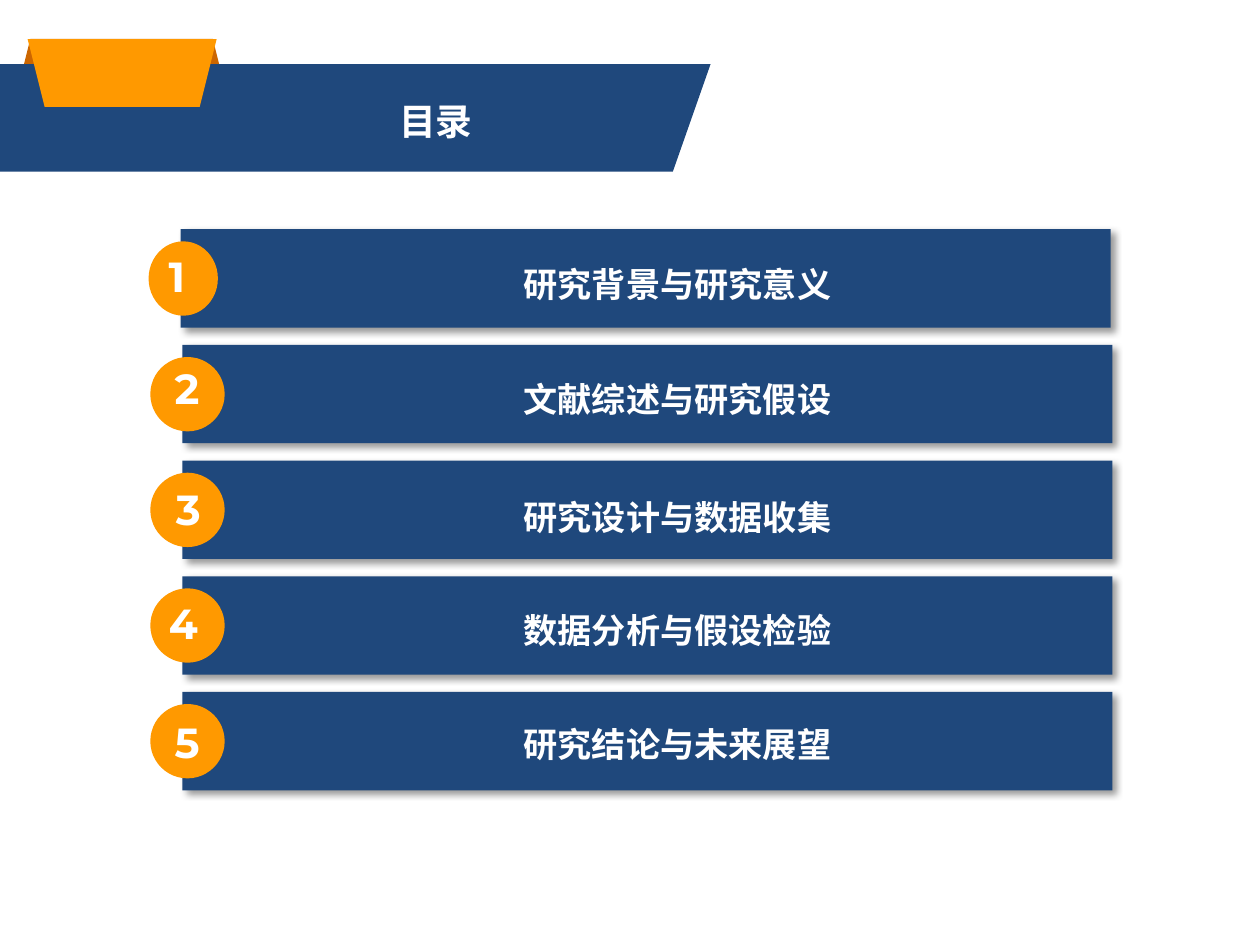
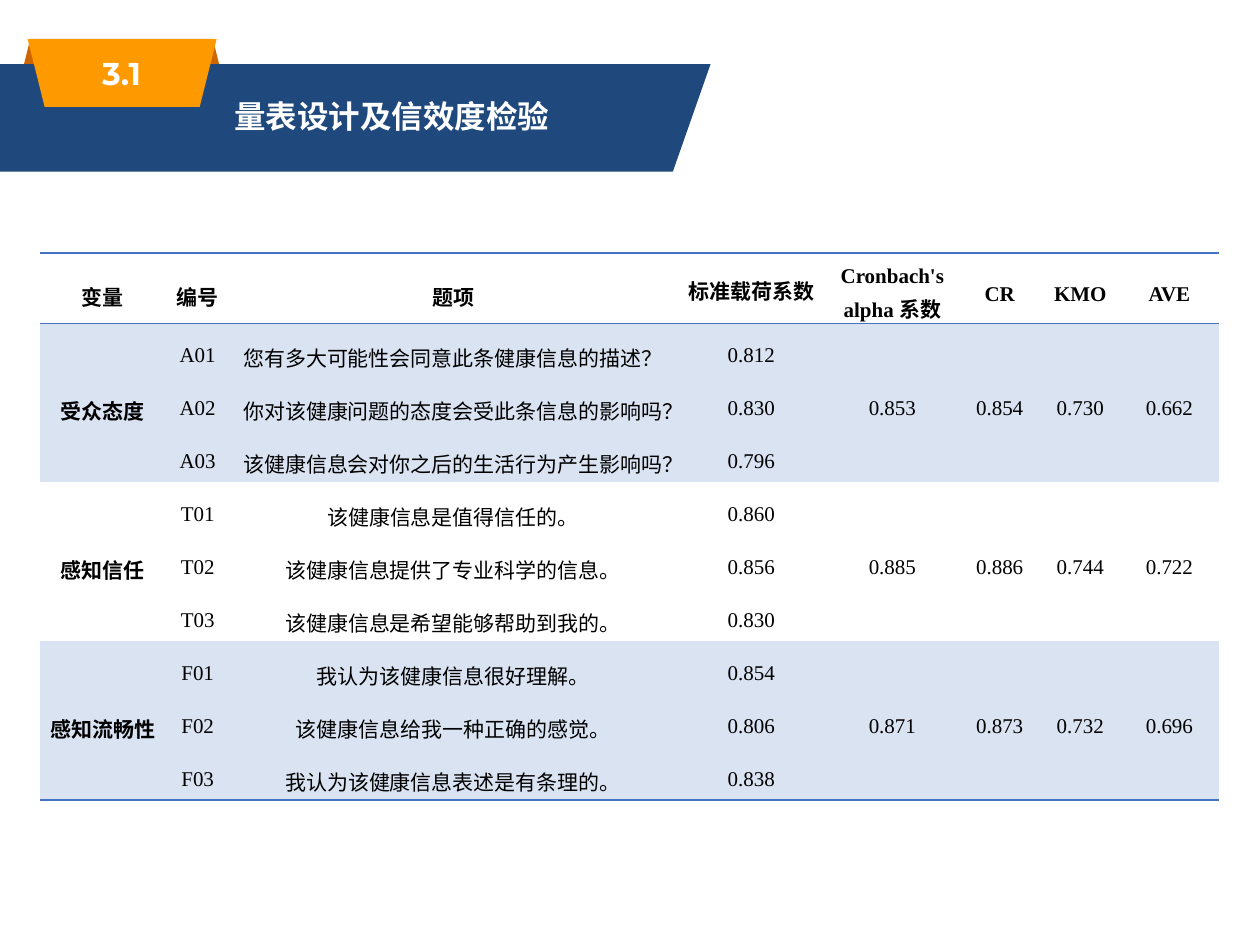
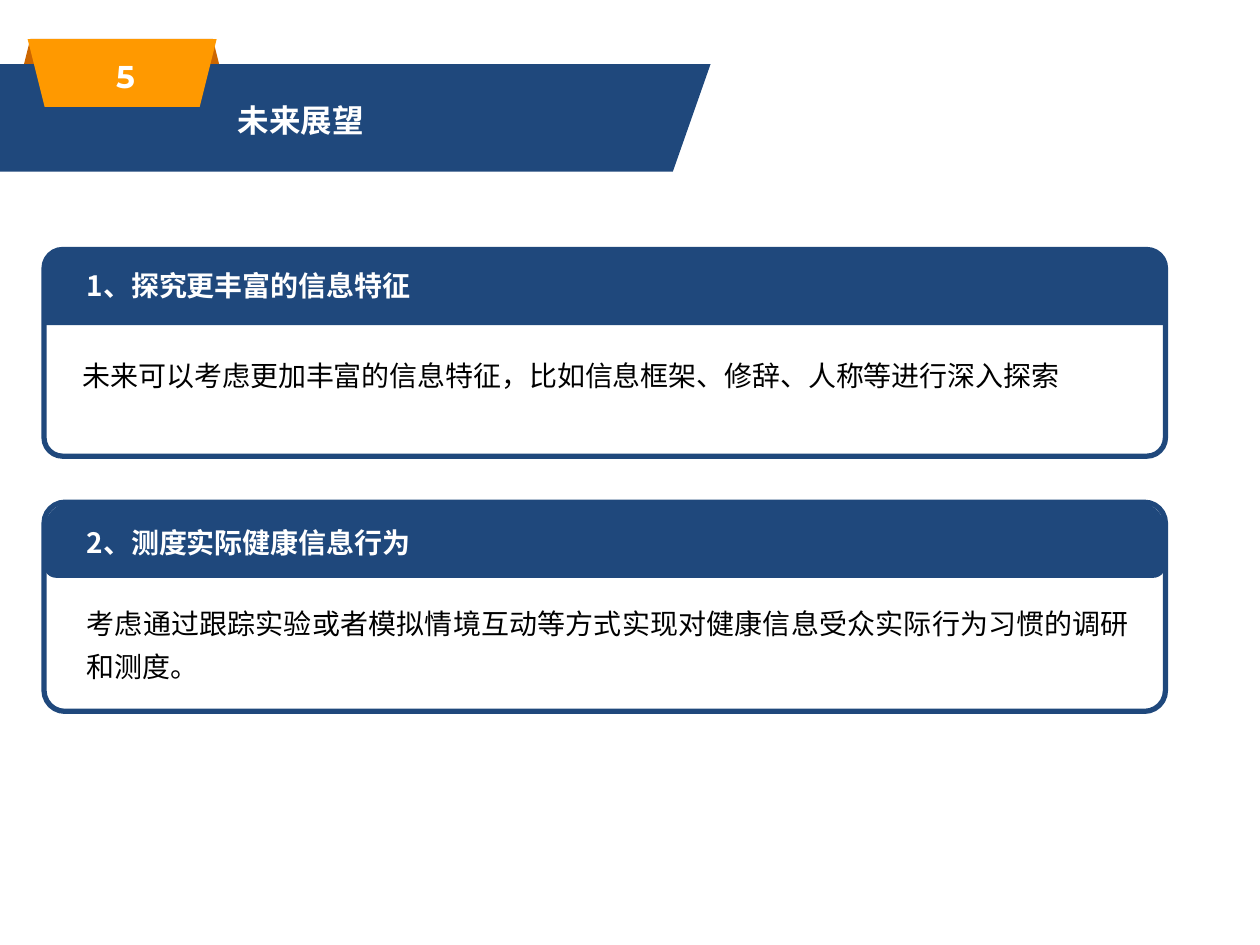
import pptx
import pptx.util
import pptx.dml.color
import pptx.enum.shapes
import pptx.enum.text
import pptx.oxml
import pptx.oxml.ns

Pt = pptx.util.Pt
MSO = pptx.enum.shapes.MSO_SHAPE
ALIGN = pptx.enum.text.PP_ALIGN
ANCHOR = pptx.enum.text.MSO_ANCHOR
NS = pptx.oxml.ns.nsdecls("a")
SANS, LATIN, SERIF, NUMERAL = "Noto Sans CJK SC", "Arial", "Times New Roman", "Montserrat"
C = {"navy": "1F487C", "orange": "FF9900", "fold": "CC6600", "white": "FFFFFF",
     "black": "000000", "rule": "4472C4", "stripe": "DAE3F2"}


def rgb(name):
    return pptx.dml.color.RGBColor.from_string(C[name])


def write(tf, text, size=16, font=SANS, color="white", bold=True, align=ALIGN.LEFT,
          spacing=None, before=None, anchor=ANCHOR.TOP):
    tf.word_wrap = True
    tf.vertical_anchor = anchor
    p = tf.paragraphs[0]
    p.alignment, p.line_spacing, p.space_before = align, spacing, before
    r = p.add_run()
    r.text = text
    r.font.size, r.font.bold, r.font.name = Pt(size), bold, font
    r.font.color.rgb = rgb(color)
    ea = pptx.oxml.parse_xml(f'<a:ea {NS} typeface="{SANS}"/>')
    r.font._element.find(pptx.oxml.ns.qn("a:latin")).addnext(ea)


def block(shapes, kind, box, fill=None, line=None, adj=()):
    sp = shapes.add_shape(kind, *map(Pt, box))
    sp.shadow.inherit = False
    if fill:
        sp.fill.solid()
        sp.fill.fore_color.rgb = rgb(fill)
    else:
        sp.fill.background()
    if line:
        sp.line.color.rgb = rgb(line)
        sp.line.width = Pt(3)
    else:
        sp.line.fill.background()
    for i, value in enumerate(adj):
        sp.adjustments[i] = value
    return sp


prs = pptx.Presentation()
prs.slide_width, prs.slide_height = Pt(720), Pt(540)

# Header band and folded tag on every slide
for _ in range(3):
    s = prs.slides.add_slide(prs.slide_layouts[6])
    block(s.shapes, MSO.TRAPEZOID, (9.4, 22.3, 120.2, 31.7), "fold")
    fb = s.shapes.build_freeform(Pt(0), Pt(36.7))
    fb.add_line_segments([(Pt(x), Pt(y)) for x, y in ((406, 36.7), (384.5, 98), (0, 98))])
    band = fb.convert_to_shape()
    band.shadow.inherit = False
    band.fill.solid()
    band.fill.fore_color.rgb = rgb("navy")
    band.line.fill.background()
    tag = block(s.shapes, MSO.TRAPEZOID, (15.8, 22.3, 108, 38.7), "orange")
    tag.rotation = 180
contents, scale, outlook = prs.slides

# Titles and section numbers
tb = contents.shapes.add_textbox(Pt(116.6), Pt(52.6), Pt(265), Pt(32.4))
write(tb.text_frame, "目录", size=21, align=ALIGN.CENTER)
for s, title, number, x, y in ((scale, "量表设计及信效度检验", "3.1", 126.7, 41),
                               (outlook, "未来展望", "5", 128.9, 43.2)):
    tb = s.shapes.add_textbox(Pt(x), Pt(y), Pt(277.2), Pt(36))
    write(tb.text_frame, title, size=18, spacing=1.5, before=Pt(7.5))
    tb = s.shapes.add_textbox(Pt(x - 114.5), Pt(y - 12.2), Pt(114.5), Pt(28))
    write(tb.text_frame, number, size=18, font=NUMERAL, align=ALIGN.CENTER, spacing=0.9,
          before=Pt(10), anchor=ANCHOR.MIDDLE)

# Slide 1: contents bars (text, text top, number box, bar left, circle width)
chapters = [
    ("研究背景与研究意义", 135.4, (89.3, 139.7, 55.4, 36), 103.2, 39.6),
    ("文献综述与研究假设", 200.9, (82.8, 203.8, 48.2, 48), 104.2, 42.5),
    ("研究设计与数据收集", 268.6, (89.3, 272.9, 36.7, 47.5), 104.2, 42.5),
    ("数据分析与假设检验", 333, (86.4, 337.7, 36.7, 47.5), 104.2, 42.5),
    ("研究结论与未来展望", 398.2, (88.6, 406, 36.7, 47.5), 104.2, 42.5),
]
for i, (text, text_top, number_box, left, width) in enumerate(chapters):
    top = 131 + 66.1 * i
    grp = contents.shapes.add_group_shape().shapes
    bar = block(grp, MSO.RECTANGLE, (left, top, 531.4, 56.2), "navy")
    effects = bar._element.spPr.find(pptx.oxml.ns.qn("a:effectLst"))
    effects.append(pptx.oxml.parse_xml(
        f'<a:outerShdw {NS} blurRad="{Pt(4)}" dist="{Pt(3)}" dir="2700000" algn="tl" rotWithShape="0">'
        f'<a:srgbClr val="{C["black"]}"><a:alpha val="40000"/></a:srgbClr></a:outerShdw>'))
    block(grp, MSO.OVAL, (left - 18.3, top + 6.9, width, 42.5), "orange")
    tb = grp.add_textbox(Pt(139.7), Pt(text_top), Pt(495), Pt(50.4))
    write(tb.text_frame, text, size=19.5, font=LATIN, align=ALIGN.CENTER, spacing=1.5)
    tb = grp.add_textbox(*map(Pt, number_box))
    write(tb.text_frame, str(i + 1), size=24, font=NUMERAL,
          align=ALIGN.CENTER if i else ALIGN.LEFT)

# Slide 2: scale items, three rows to a variable
header = ["变量", "编号", "题项", "标准载荷系数", "Cronbach's alpha 系数", "CR", "KMO", "AVE"]
variables = [
    ("受众态度", "A", [("您有多大可能性会同意此条健康信息的描述？", "0.812"),
                   ("你对该健康问题的态度会受此条信息的影响吗？", "0.830"),
                   ("该健康信息会对你之后的生活行为产生影响吗？", "0.796")],
     ["0.853", "0.854", "0.730", "0.662"]),
    ("感知信任", "T", [("该健康信息是值得信任的。", "0.860"),
                   ("该健康信息提供了专业科学的信息。", "0.856"),
                   ("该健康信息是希望能够帮助到我的。", "0.830")],
     ["0.885", "0.886", "0.744", "0.722"]),
    ("感知流畅性", "F", [("我认为该健康信息很好理解。", "0.854"),
                    ("该健康信息给我一种正确的感觉。", "0.806"),
                    ("我认为该健康信息表述是有条理的。", "0.838")],
     ["0.871", "0.873", "0.732", "0.696"]),
]
rows = [header]
for name, code, items, stats in variables:
    for k, (item, loading) in enumerate(items):
        first = k == 0
        rows.append([name if first else "", f"{code}{k + 1:02}", item, loading]
                    + (stats if first else [""] * 4))

tbl = scale.shapes.add_table(10, 8, Pt(23), Pt(144.7), Pt(673.9), Pt(312.2)).table
style = tbl._tbl.tblPr.find(pptx.oxml.ns.qn("a:tableStyleId"))
style.text = "{2D5ABB26-0587-4C30-8999-92F81FD0307C}"
for col, width in zip(tbl.columns, (71.5, 37, 254.9, 85.9, 75.4, 47.3, 44.8, 57.1)):
    col.width = Pt(width)
for i, row in enumerate(tbl.rows):
    row.height = Pt(30.3 if i else 39.6)
for top in (1, 4, 7):
    for j in (0, 4, 5, 6, 7):
        tbl.cell(top, j).merge(tbl.cell(top + 2, j))

for i, values in enumerate(rows):
    for j, text in enumerate(values):
        cell = tbl.cell(i, j)
        cell.margin_left = cell.margin_right = Pt(4.3)
        cell.margin_top = cell.margin_bottom = 0
        cell.vertical_anchor = ANCHOR.MIDDLE
        if text:
            write(cell.text_frame, text, size=12, font=SERIF, color="black",
                  bold=i == 0 or j == 0, align=ALIGN.CENTER,
                  spacing=1.5 if j < 3 else Pt(20), anchor=None)
        if i in (1, 2, 3, 7, 8, 9):
            cell.fill.solid()
            cell.fill.fore_color.rgb = rgb("stripe")
        else:
            cell.fill.background()
        # Rules above and below the header and under the last row
        sides = ["lnT", "lnB"] if i == 0 else []
        if i == 9 or (i == 7 and cell.is_merge_origin):
            sides = ["lnB"]
        for n, side in enumerate(sides):
            cell._tc.get_or_add_tcPr().insert(n, pptx.oxml.parse_xml(
                f'<a:{side} {NS} w="{Pt(1)}"><a:solidFill><a:srgbClr val="{C["rule"]}"/>'
                f'</a:solidFill></a:{side}>'))

# Slide 3: outlook cards (heading, heading top, body, body left and top, frame, corners)
cards = [
    ("1、探究更丰富的信息特征", 149.8,
     "未来可以考虑更加丰富的信息特征，比如信息框架、修辞、人称等进行深入探索",
     (40.3, 195.8, 610.6, 38.2), (25.2, 142.6, 640.8, 118.1), 0.09, (0.28, 0)),
    ("2、测度实际健康信息行为", 296.6,
     "考虑通过跟踪实验或者模拟情境互动等方式实现对健康信息受众实际行为习惯的调研和测度。",
     (42.5, 337, 610.6, 70.6), (25.2, 287, 640.8, 119.5), 0.1, (0.37, 0.16)),
]
for heading, heading_top, body, body_box, frame, corner, head_corners in cards:
    grp = outlook.shapes.add_group_shape().shapes
    block(grp, MSO.ROUNDED_RECTANGLE, frame, line="navy", adj=[corner])
    block(grp, MSO.ROUND_2_SAME_RECTANGLE, (*frame[:3], 43.2), "navy", adj=head_corners)
    tb = grp.add_textbox(Pt(42.5), Pt(heading_top), Pt(605.5), Pt(26.6))
    write(tb.text_frame, heading)
    tb = grp.add_textbox(*map(Pt, body_box))
    write(tb.text_frame, body, color="black", bold=False, align=ALIGN.JUSTIFY, spacing=1.3)

prs.save("out.pptx")
